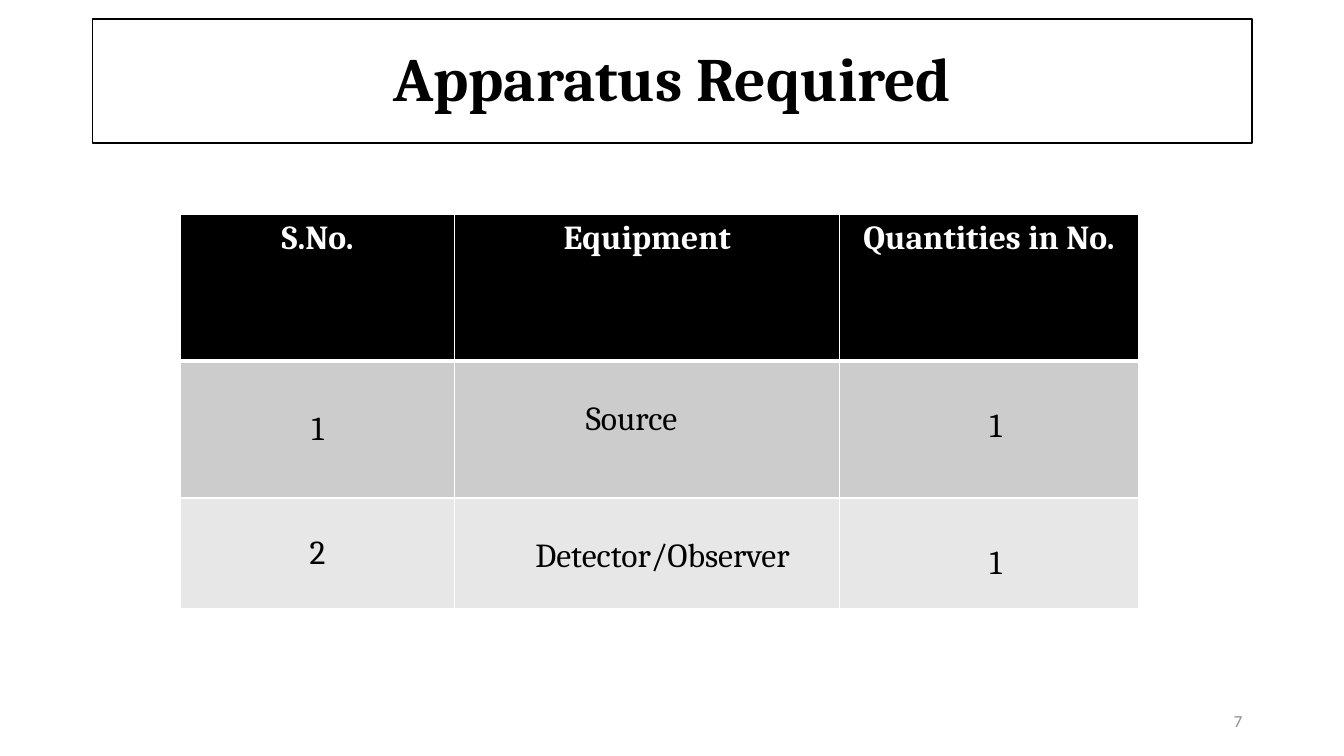
"""Build the Apparatus Required slide with its equipment table."""
import pptx
import pptx.dml.color
import pptx.enum.shapes
import pptx.enum.text
import pptx.oxml
import pptx.oxml.ns
import pptx.util

Inches, Pt = pptx.util.Inches, pptx.util.Pt
RGBColor = pptx.dml.color.RGBColor
Align, Anchor = pptx.enum.text.PP_ALIGN, pptx.enum.text.MSO_ANCHOR

BLACK = RGBColor(0x00, 0x00, 0x00)
WHITE = RGBColor(0xFF, 0xFF, 0xFF)
NUMBER_GREY = RGBColor(0x8C, 0x8C, 0x8C)
ROW_FILLS = [BLACK, RGBColor(0xCC, 0xCC, 0xCC), RGBColor(0xE7, 0xE7, 0xE7)]

HEADING = "Apparatus Required"
PAGE_NUMBER = "7"
EQUIPMENT = [
    ("S.No.", "Equipment", "Quantities in No."),
    ("1", "Source", "1"),
    ("2", "Detector/Observer", "1"),
]
COLUMN_WIDTHS = [2.72, 3.82, 2.96]
ROW_HEIGHTS = [1.45, 1.36, 1.1]
EQUIPMENT_INDENTS = [0.1, 1.3, 0.8]
HEADER_MARGINS = (0.1, 0.05, 0.1, 0.05)


def write(frame, text, size, color, align, bold=False, face="Cambria"):
    paragraph = frame.paragraphs[0]
    paragraph.alignment = align
    run = paragraph.add_run()
    run.text = text
    run.font.color.rgb = color
    font_format = {"name": face, "size": Pt(size), "bold": bold}
    for name, value in font_format.items():
        setattr(run.font, name, value)
    return paragraph


def add_borders(cell, bottom_width):
    properties = cell._tc.get_or_add_tcPr()
    widths = {"lnL": 1, "lnR": 1, "lnT": 1, "lnB": bottom_width}
    for position, (side, width) in enumerate(widths.items()):
        border = pptx.oxml.parse_xml(
            f'<a:{side} {pptx.oxml.ns.nsdecls("a")} w="{Pt(width)}">'
            f'<a:solidFill><a:srgbClr val="{WHITE}"/></a:solidFill></a:{side}>')
        properties.insert(position, border)


def cell_layout(row, column):
    if row == 0:
        return HEADER_MARGINS, Anchor.TOP, Align.CENTER
    if column == 0:
        return (0, 0, 0, 0), Anchor.MIDDLE, Align.CENTER
    if column == 1:
        return (EQUIPMENT_INDENTS[row], 0.39, 0.07, 0), Anchor.TOP, Align.LEFT
    return (0.2, 0.46, 0.07, 0), Anchor.TOP, Align.CENTER


def add_heading(slide):
    heading = slide.shapes.add_shape(
        pptx.enum.shapes.MSO_SHAPE.RECTANGLE,
        Inches(0.92), Inches(0.19), Inches(11.5), Inches(1.23))
    heading.shadow.inherit = False
    heading.fill.solid()
    heading.fill.fore_color.rgb = WHITE
    heading.line.color.rgb = BLACK
    heading.line.width = Pt(1)
    heading.text_frame.vertical_anchor = Anchor.MIDDLE
    line = write(heading.text_frame, HEADING, 44, BLACK, Align.CENTER, True)
    line.line_spacing = 0.9


def add_equipment(slide):
    equipment = slide.shapes.add_table(
        len(EQUIPMENT), len(COLUMN_WIDTHS), Inches(1.79), Inches(2.13),
        Inches(sum(COLUMN_WIDTHS)), Inches(sum(ROW_HEIGHTS))).table
    for column, width in zip(equipment.columns, COLUMN_WIDTHS):
        column.width = Inches(width)
    for row, height in zip(equipment.rows, ROW_HEIGHTS):
        row.height = Inches(height)
    for r, entries in enumerate(EQUIPMENT):
        header = r == 0
        for c, entry in enumerate(entries):
            cell = equipment.cell(r, c)
            margins, anchor, align = cell_layout(r, c)
            for side, margin in zip(("left", "top", "right", "bottom"), margins):
                setattr(cell, f"margin_{side}", Inches(margin))
            cell.vertical_anchor = anchor
            cell.fill.solid()
            cell.fill.fore_color.rgb = ROW_FILLS[r]
            add_borders(cell, 3 if header else 1)
            write(cell.text_frame, entry, 24, WHITE if header else BLACK,
                  align, header)


def add_page_number(slide):
    number = slide.shapes.add_textbox(
        Inches(9.42), Inches(6.95), Inches(3), Inches(0.4)).text_frame
    number.word_wrap = True
    number.vertical_anchor = Anchor.MIDDLE
    write(number, PAGE_NUMBER, 12, NUMBER_GREY, Align.RIGHT, face="Calibri")


def main():
    deck = pptx.Presentation()
    deck.slide_width, deck.slide_height = Inches(13.33), Inches(7.5)
    slide = deck.slides.add_slide(deck.slide_layouts[6])
    add_heading(slide)
    add_page_number(slide)
    add_equipment(slide)
    deck.save("out.pptx")


if __name__ == "__main__":
    main()
